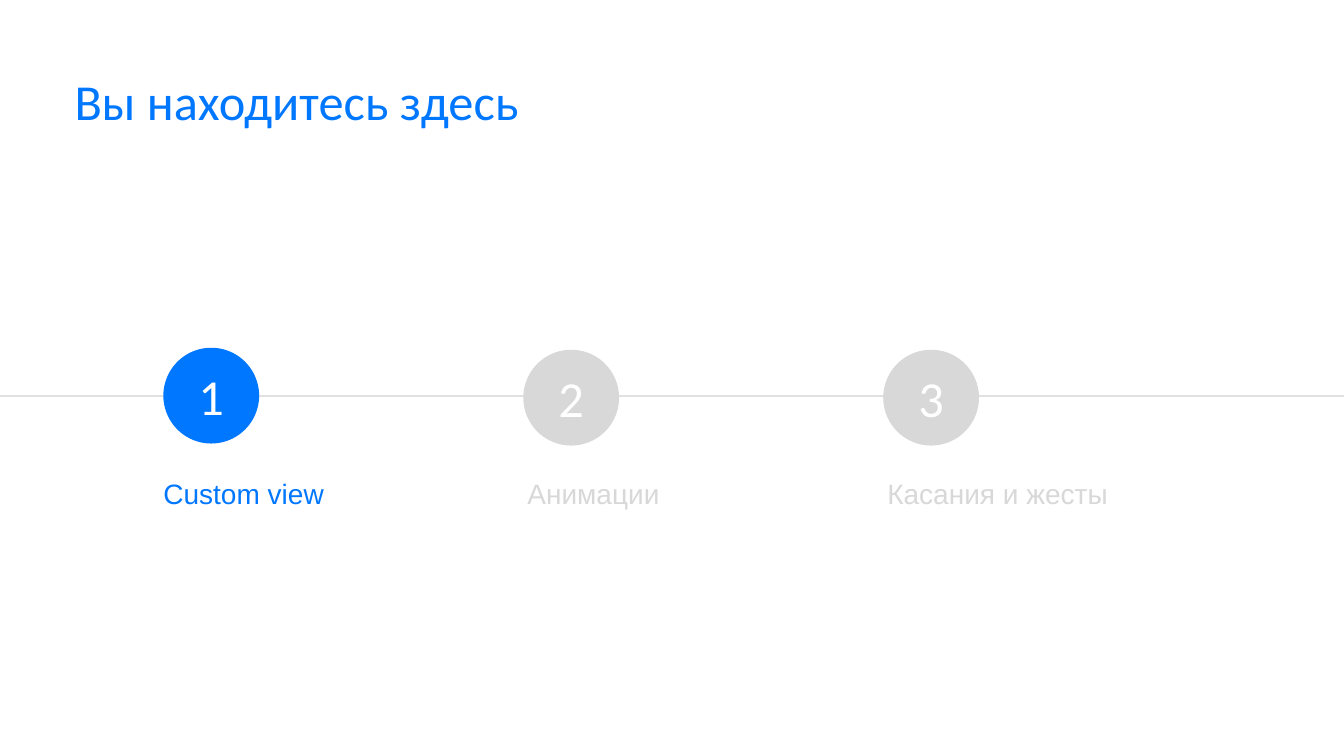
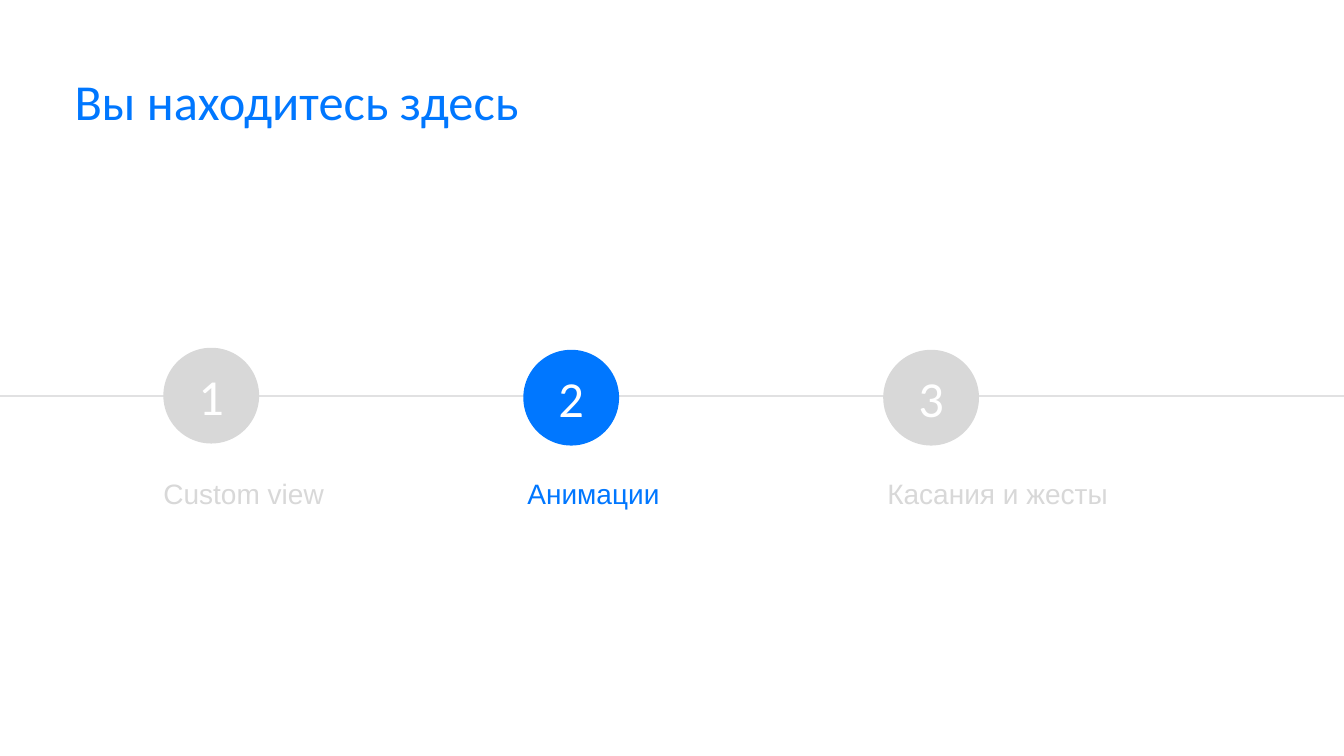
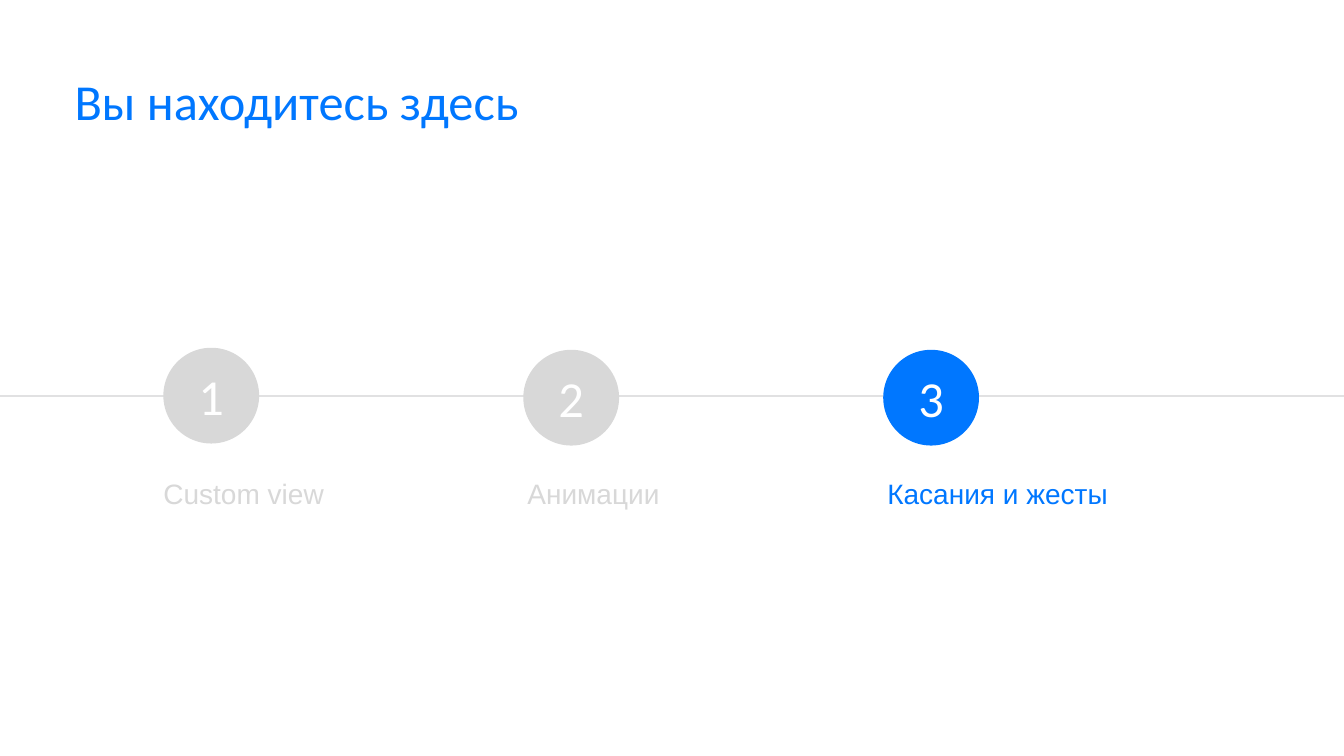
from pptx import Presentation
from pptx.dml.color import RGBColor
from pptx.enum.shapes import MSO_CONNECTOR, MSO_SHAPE
from pptx.enum.text import MSO_ANCHOR, MSO_AUTO_SIZE, PP_ALIGN
from pptx.oxml.ns import qn
from pptx.util import Emu, Pt

STRAIGHT = MSO_CONNECTOR.STRAIGHT
OVAL = MSO_SHAPE.OVAL
TOP, MIDDLE = MSO_ANCHOR.TOP, MSO_ANCHOR.MIDDLE
GROW = MSO_AUTO_SIZE.SHAPE_TO_FIT_TEXT
LEFT, CENTER = PP_ALIGN.LEFT, PP_ALIGN.CENTER

# Shared style: 100 px to the inch
EMU_PER_PX = 9144
PAGE_WIDTH, PAGE_HEIGHT = 1333, 750
BLUE, GREY, RULE_GREY, WHITE = "0077FF", "D8D8D8", "E1E1E2", "FFFFFF"
HEAD_FONT, BODY_FONT = "Calibri", "Arial"

TITLE = "Вы находитесь здесь"
TITLE_BOX = (74, 76, 1187, 70)
STEPS = ("Custom view", "Анимации", "Касания и жесты")
TIMELINE_BOX = (162, 345, 993, 165)
STEP_PITCH, CIRCLE_SIZE = 357, 95
LABEL_WIDTH, LABEL_HEIGHT = 279, 45
RULE_DROP = 48           # from the top of the timeline to its rule
FIRST_LABEL_SHIFT = 4    # the first label hangs out to the left
LATER_CIRCLE_DROP = 2    # the later circles sit a little lower


def px(length):
    return Emu(length * EMU_PER_PX)


def color(hex_code):
    return RGBColor.from_string(hex_code)


def write(shape, text, size, font, ink, insets=(0, 0), align=LEFT, anchor=TOP,
          spacing=None):
    frame = shape.text_frame
    frame.word_wrap = True
    frame.vertical_anchor = anchor
    frame.margin_left = frame.margin_right = px(insets[0])
    frame.margin_top = frame.margin_bottom = px(insets[1])
    para = frame.paragraphs[0]
    para.alignment = align
    if spacing:
        para.line_spacing = spacing
    span = para.add_run()
    span.text = text
    span.font.size = Pt(size)
    span.font.name = font
    span.font.color.rgb = color(ink)


def add_text(page, box, text, size, font, ink, **style):
    shape = page.shapes.add_textbox(*map(px, box))
    write(shape, text, size, font, ink, **style)
    return shape


def add_title(page, box):
    add_text(page, box, TITLE, 36, HEAD_FONT, BLUE, spacing=0.9)


def add_rule(page, y):
    rule = page.shapes.add_connector(STRAIGHT, px(PAGE_WIDTH), px(y), px(0), px(y))
    rule.line.color.rgb = color(RULE_GREY)
    rule.line.width = Pt(1)
    properties = rule._element.spPr
    properties.append(properties.makeelement(qn("a:effectLst"), {}))


def add_circle(page, left, top, number, fill):
    circle = page.shapes.add_shape(
        OVAL, px(left), px(top), px(CIRCLE_SIZE), px(CIRCLE_SIZE))
    circle.shadow.inherit = False
    circle.fill.solid()
    circle.fill.fore_color.rgb = color(fill)
    circle.line.fill.background()
    write(circle, str(number), 36, HEAD_FONT, WHITE, insets=(0, 5),
          align=CENTER, anchor=MIDDLE)


def add_timeline(page, box, current):
    left, top, _, height = box
    add_rule(page, top + RULE_DROP)
    for index, name in enumerate(STEPS):
        first = index == 0
        step_left = left + index * STEP_PITCH
        ink = BLUE if index == current else GREY
        # Numbered circle
        circle_top = top + (0 if first else LATER_CIRCLE_DROP)
        add_circle(page, step_left, circle_top, index + 1, ink)
        # Step name at the foot of the timeline
        label_left = step_left - (FIRST_LABEL_SHIFT if first else 0)
        label_box = (label_left, top + height - LABEL_HEIGHT,
                     LABEL_WIDTH, LABEL_HEIGHT)
        label = add_text(page, label_box, name, 20, BODY_FONT, ink,
                         insets=(4, 4), spacing=1.1)
        label.text_frame.auto_size = GROW


def add_step_page(deck, current):
    page = deck.slides.add_slide(deck.slide_layouts[6])
    add_timeline(page, TIMELINE_BOX, current)
    add_title(page, TITLE_BOX)


def main():
    deck = Presentation()
    deck.slide_width, deck.slide_height = px(PAGE_WIDTH), px(PAGE_HEIGHT)
    for current in range(len(STEPS)):
        add_step_page(deck, current)
    deck.save("out.pptx")


if __name__ == "__main__":
    main()
